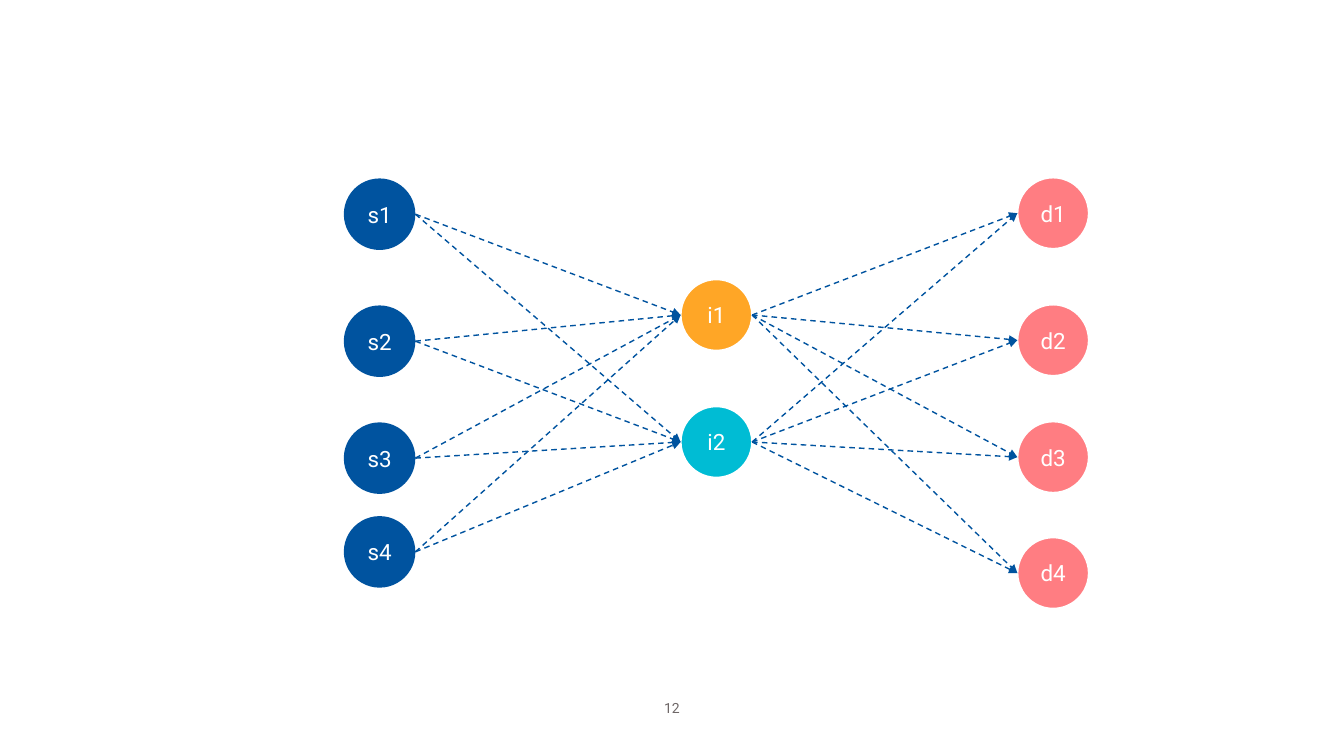
from itertools import product

from lxml import etree
from pptx import Presentation
from pptx.dml.color import RGBColor
from pptx.enum.dml import MSO_LINE
from pptx.enum.shapes import MSO_CONNECTOR, MSO_SHAPE
from pptx.enum.text import MSO_ANCHOR, MSO_AUTO_SIZE, PP_ALIGN
from pptx.oxml.ns import qn
from pptx.util import Inches, Pt

OVAL = MSO_SHAPE.OVAL
LINE = MSO_CONNECTOR.STRAIGHT
DASH = MSO_LINE.DASH
MIDDLE = MSO_ANCHOR.MIDDLE
CENTER = PP_ALIGN.CENTER
FIT = MSO_AUTO_SIZE.SHAPE_TO_FIT_TEXT

COLORS = {
    "blue": "00539F",
    "pink": "FF7D82",
    "orange": "FFA626",
    "teal": "00BCD4",
    "white": "FFFFFF",
    "gray": "6E6767",
}
FONT = "Roboto"
SIZE = 0.71
PAGE = "12"

SOURCES = [("s1", 1.77, "blue"), ("s2", 3.03, "blue"),
           ("s3", 4.19, "blue"), ("s4", 5.12, "blue")]
INNER = [("i1", 2.77, "orange"), ("i2", 4.03, "teal")]
DESTS = [("d1", 1.76, "pink"), ("d2", 3.02, "pink"),
         ("d3", 4.18, "pink"), ("d4", 5.33, "pink")]
LAYERS = [(3.41, None, SOURCES), (6.75, "white", INNER), (10.09, "white", DESTS)]


def color(name):
    return RGBColor.from_string(COLORS[name])


def write(frame, text, size, tint):
    para = frame.paragraphs[0]
    para.alignment = CENTER
    run = para.add_run()
    run.text = text
    run.font.name = FONT
    run.font.size = Pt(size)
    run.font.color.rgb = color(tint)


def add_node(shapes, left, top, label, fill, edge):
    node = shapes.add_shape(OVAL, Inches(left), Inches(top), Inches(SIZE), Inches(SIZE))
    node.shadow.inherit = False
    node.fill.solid()
    node.fill.fore_color.rgb = color(fill)
    if edge:
        node.line.color.rgb = color(edge)
        node.line.width = Pt(1.5)
    else:
        node.line.fill.background()
    node.text_frame.vertical_anchor = MIDDLE
    write(node.text_frame, label, 16, "white")
    return node


def add_arrow(shapes, start, end):
    arrow = shapes.add_connector(
        LINE,
        start.left + start.width, start.top + start.height // 2,
        end.left, end.top + end.height // 2,
    )
    arrow.line.color.rgb = color("blue")
    arrow.line.width = Pt(1)
    arrow.line.dash_style = DASH
    props = arrow.line._get_or_add_ln()
    etree.SubElement(props, qn("a:tailEnd"), type="triangle")
    etree.SubElement(arrow._element.spPr, qn("a:effectLst"))


def add_page(shapes):
    box = shapes.add_textbox(Inches(6.56), Inches(6.94), Inches(0.21), Inches(0.17))
    frame = box.text_frame
    frame.margin_left = frame.margin_right = 0
    frame.margin_top = frame.margin_bottom = 0
    frame.word_wrap = False
    frame.auto_size = FIT
    write(frame, PAGE, 10, "gray")


def main():
    deck = Presentation()
    deck.slide_width = Inches(13.33)
    deck.slide_height = Inches(7.5)
    shapes = deck.slides.add_slide(deck.slide_layouts[6]).shapes

    add_page(shapes)
    layers = [
        [add_node(shapes, left, top, label, fill, edge) for label, top, fill in nodes]
        for left, edge, nodes in LAYERS
    ]
    for near, far in zip(layers, layers[1:]):
        for start, end in product(near, far):
            add_arrow(shapes, start, end)

    deck.save("out.pptx")


if __name__ == "__main__":
    main()
